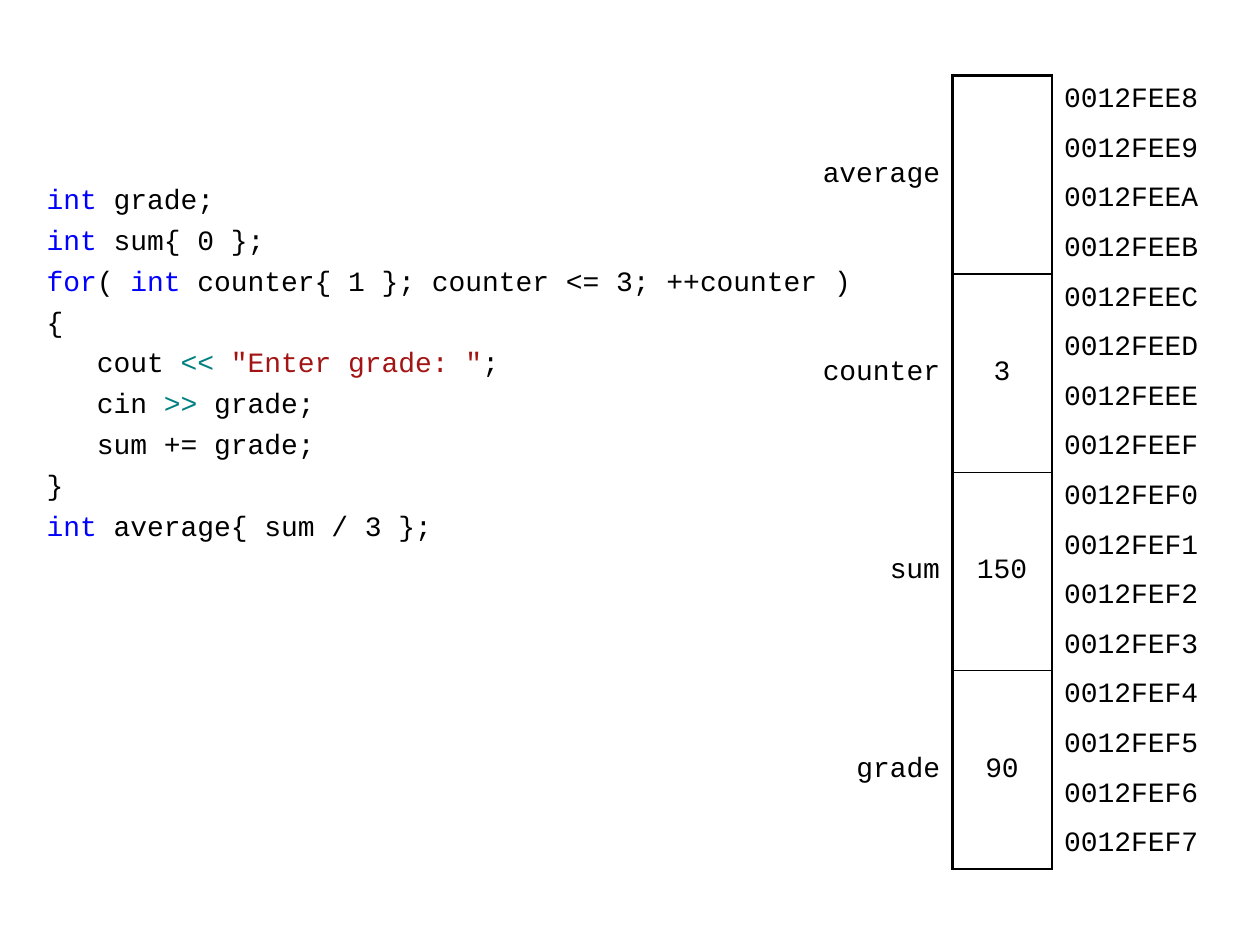
from dataclasses import dataclass

import lxml.etree
import pptx
import pptx.dml.color
import pptx.enum.text
import pptx.oxml.ns
import pptx.table
import pptx.text.text
import pptx.util
from pptx.util import Cm

COLORS = {
    "plain": "000000",
    "keyword": "0000FF",
    "operator": "008080",
    "string": "A31515",
}
FONT_NAME = "Courier New"
FONT_SIZE = pptx.util.Pt(16)
NO_STYLE_NO_GRID = "{2D5ABB26-0587-4C30-8999-92F81FD0307C}"

BYTES_PER_VARIABLE = 4
FIRST_ADDRESS = 0x0012FEE8
ROW_HEIGHT = Cm(1)
COLUMN_WIDTHS = [Cm(3), Cm(2), Cm(3.5)]
OUTER_BORDER = 1.5
INNER_BORDER = 1

ALIGN = pptx.enum.text.PP_ALIGN


@dataclass
class Variable:
    name: str
    value: str


@dataclass
class Span:
    text: str
    color: str = "plain"


VARIABLES = [
    Variable("average", ""),
    Variable("counter", "3"),
    Variable("sum", "150"),
    Variable("grade", "90"),
]

CODE_LINES = [
    [Span("int", "keyword"), Span(" grade;")],
    [Span("int", "keyword"), Span(" sum{ 0 };")],
    [Span("for", "keyword"), Span("( "), Span("int", "keyword"),
     Span(" counter{ 1 }; counter <= 3; ++counter )")],
    [Span("{")],
    [Span("   cout "), Span("<< ", "operator"),
     Span('"Enter grade: "', "string"), Span(";")],
    [Span("   cin "), Span(">>", "operator"), Span(" grade;")],
    [Span("   sum += grade;")],
    [Span("}")],
    [Span("int", "keyword"), Span(" average{ sum / 3 };")],
]


def set_font(font: pptx.text.text.Font, color: str = "plain") -> None:
    font.name = FONT_NAME
    font.size = FONT_SIZE
    font.color.rgb = pptx.dml.color.RGBColor.from_string(COLORS[color])


def add_code(page, lines: list[list[Span]]) -> None:
    box = page.shapes.add_textbox(Cm(0.69), Cm(3.53), Cm(17), Cm(7.5))
    frame = box.text_frame
    frame.word_wrap = True
    for index, line in enumerate(lines):
        para = frame.paragraphs[0] if index == 0 else frame.add_paragraph()
        if index:
            para.space_before = pptx.util.Pt(4.2)
        set_font(para.font)
        for span in line:
            run = para.add_run()
            run.text = span.text
            set_font(run.font, span.color)


def set_borders(cell: pptx.table._Cell, **widths: float) -> None:
    """Draw black borders; sides are L, R, T, B in that order, in points."""
    properties = cell._tc.get_or_add_tcPr()
    qn = pptx.oxml.ns.qn
    for position, (side, width) in enumerate(widths.items()):
        line = lxml.etree.Element(qn(f"a:ln{side}"), w=str(pptx.util.Pt(width)))
        fill = lxml.etree.SubElement(line, qn("a:solidFill"))
        lxml.etree.SubElement(fill, qn("a:srgbClr"), val=COLORS["plain"])
        properties.insert(position, line)


def fill_cell(cell: pptx.table._Cell, text: str, align: ALIGN, margin: float) -> None:
    cell.text = text
    cell.fill.background()
    cell.vertical_anchor = pptx.enum.text.MSO_ANCHOR.MIDDLE
    cell.margin_left = cell.margin_right = Cm(0.25)
    cell.margin_top = cell.margin_bottom = Cm(margin)
    para = cell.text_frame.paragraphs[0]
    para.alignment = align
    set_font(para.font)


def add_memory_table(page, variables: list[Variable]) -> None:
    row_count = len(variables) * BYTES_PER_VARIABLE
    frame = page.shapes.add_table(
        row_count, len(COLUMN_WIDTHS), Cm(16.2), Cm(1.52),
        sum(COLUMN_WIDTHS), ROW_HEIGHT * row_count)
    table = frame.table
    table.first_row = table.horz_banding = False
    table._tbl.tblPr.find(pptx.oxml.ns.qn("a:tableStyleId")).text = NO_STYLE_NO_GRID
    for column, width in zip(table.columns, COLUMN_WIDTHS):
        column.width = width

    for row in range(row_count):
        table.rows[row].height = ROW_HEIGHT
        index, offset = divmod(row, BYTES_PER_VARIABLE)
        starts = offset == 0
        variable = variables[index]
        name = variable.name if starts else ""
        value = variable.value if starts else ""
        fill_cell(table.cell(row, 0), name, ALIGN.RIGHT, 0.02)
        fill_cell(table.cell(row, 1), value, ALIGN.CENTER, 0.02)
        fill_cell(table.cell(row, 2), f"{FIRST_ADDRESS + row:08X}", ALIGN.LEFT, 0.1)

    for index in range(len(variables)):
        first = index * BYTES_PER_VARIABLE
        last = first + BYTES_PER_VARIABLE - 1
        for column in (0, 1):
            table.cell(first, column).merge(table.cell(last, column))
        set_borders(table.cell(first, 0), R=OUTER_BORDER)
        set_borders(
            table.cell(first, 1), L=OUTER_BORDER, R=OUTER_BORDER,
            T=OUTER_BORDER if index == 0 else INNER_BORDER,
            B=OUTER_BORDER if last == row_count - 1 else INNER_BORDER)


def main() -> None:
    deck = pptx.Presentation()
    deck.slide_width = Cm(25.4)
    deck.slide_height = Cm(19.05)
    page = deck.slides.add_slide(deck.slide_layouts[6])
    add_code(page, CODE_LINES)
    add_memory_table(page, VARIABLES)
    deck.save("out.pptx")


if __name__ == "__main__":
    main()
